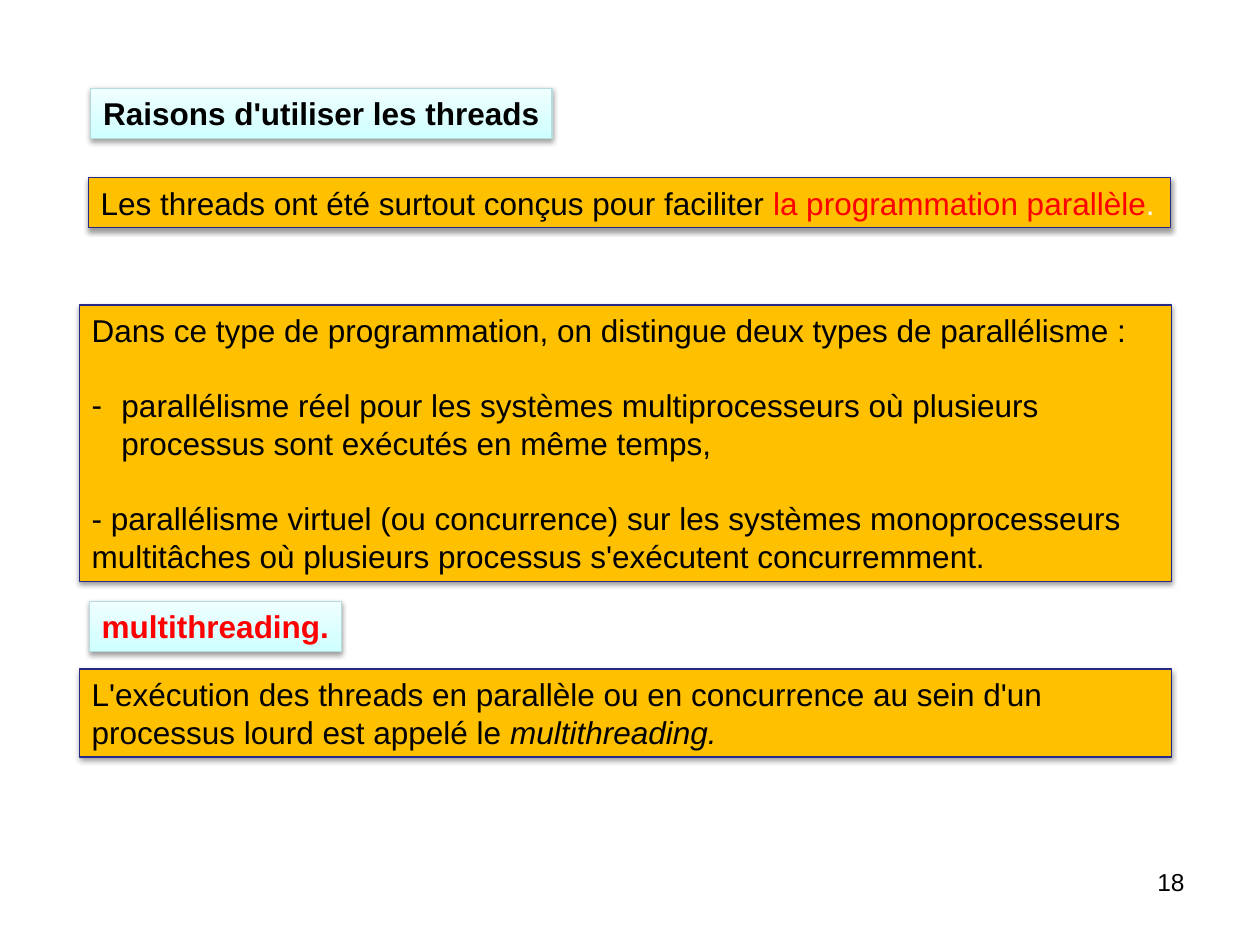
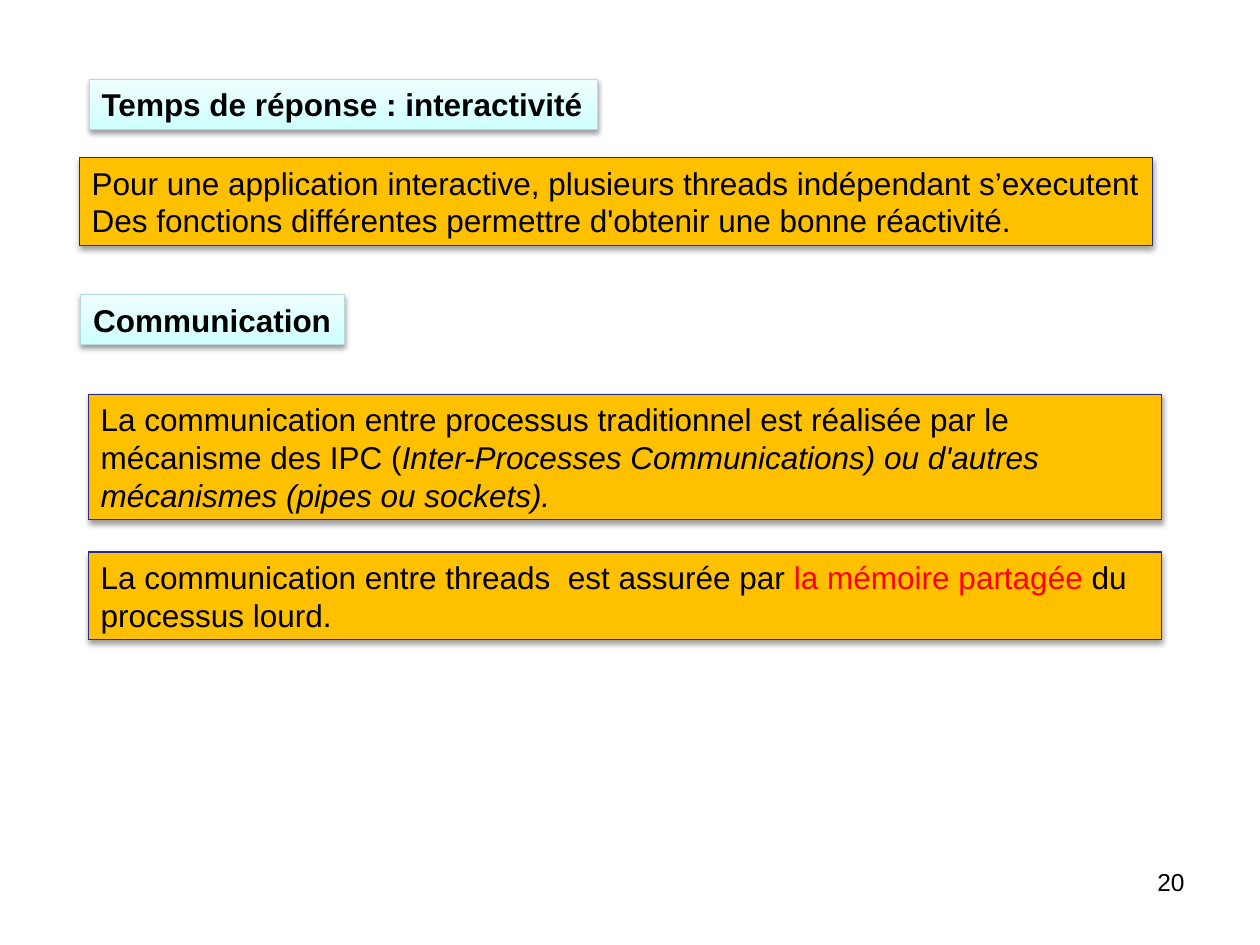
from lxml.etree import SubElement
from pptx import Presentation
from pptx.dml.color import RGBColor
from pptx.enum.shapes import MSO_SHAPE as Preset
from pptx.enum.text import MSO_ANCHOR as Anchor, PP_ALIGN as Align
from pptx.oxml.ns import qn
from pptx.util import Cm, Pt

BLACK, RED, WHITE = "000000", "FF0000", "FFFFFF"
AMBER, NAVY = "FFC000", "292989"
AQUA, PALE_AQUA, AQUA_EDGE = "CFFFFF", "F0FFFF", "B6DCDF"


def color(value):
    return RGBColor.from_string(value)


class Deck:
    font = "Arial"
    size = Pt(18)
    line_pitch = Pt(21.5)

    def __init__(self):
        self.presentation = Presentation()
        self.presentation.slide_width = Cm(25.4)
        self.presentation.slide_height = Cm(19.05)
        self.slide = None

    def add_slide(self, number):
        layout = self.presentation.slide_layouts[6]
        self.slide = self.presentation.slides.add_slide(layout)
        box = self.slide.shapes.add_textbox(Cm(18.21), Cm(17.35), Cm(5.92), Cm(1.32))
        box.text_frame.word_wrap = True
        paragraph = box.text_frame.paragraphs[0]
        paragraph.text = str(number)
        paragraph.alignment = Align.RIGHT
        self.style(paragraph.font, Pt(14))

    def style(self, font, size, ink=BLACK, bold=False):
        font.name = self.font
        font.size = size
        font.bold = bold
        font.color.rgb = color(ink)

    def panel(self, left, top, width, lines, edge):
        height = 0.25 + 0.76 * lines
        shape = self.slide.shapes.add_shape(
            Preset.RECTANGLE, Cm(left), Cm(top), Cm(width), Cm(height))
        shape.line.color.rgb = color(edge)
        shape.line.width = Pt(0.75)
        self.drop_shadow(shape)
        frame = shape.text_frame
        frame.vertical_anchor = Anchor.TOP
        frame.margin_right = Cm(0.2)
        return shape

    def drop_shadow(self, shape):
        shape.shadow.inherit = False
        effects = shape._element.spPr.find(qn("a:effectLst"))
        shadow = SubElement(effects, qn("a:outerShdw"), blurRad="40000",
                            dist="20000", dir="5400000", rotWithShape="0")
        ink = SubElement(shadow, qn("a:srgbClr"), val=BLACK)
        SubElement(ink, qn("a:alpha"), val="38000")

    def heading(self, left, top, width, text, ink=BLACK):
        shape = self.panel(left, top, width, 1, AQUA_EDGE)
        shape.fill.gradient()
        shape.fill.gradient_angle = 90
        for stop, tint in zip(shape.fill.gradient_stops, (AQUA, PALE_AQUA)):
            stop.color.rgb = color(tint)
        shape.text_frame.word_wrap = False
        self.fill_text(shape.text_frame.paragraphs[0], [text], ink, True)

    def band(self, left, top, width, lines, *paragraphs, gap=0, bulleted=()):
        shape = self.panel(left, top, width, lines, NAVY)
        shape.fill.solid()
        shape.fill.fore_color.rgb = color(AMBER)
        frame = shape.text_frame
        frame.word_wrap = True
        for index, runs in enumerate(paragraphs):
            paragraph = frame.add_paragraph() if index else frame.paragraphs[0]
            if index in bulleted:
                self.dash(paragraph)
            if index and gap:
                paragraph.space_before = gap
            self.fill_text(paragraph, runs)

    def dash(self, paragraph):
        properties = paragraph._p.get_or_add_pPr()
        properties.set("marL", str(Cm(0.6)))
        properties.set("indent", str(-Cm(0.6)))
        SubElement(properties, qn("a:buFont"), typeface=self.font)
        SubElement(properties, qn("a:buChar"), char="-")

    def fill_text(self, paragraph, runs, ink=BLACK, bold=False):
        paragraph.alignment = Align.LEFT
        paragraph.line_spacing = self.line_pitch
        self.style(paragraph.font, self.size, ink, bold)
        for item in runs:
            text, accent = item if isinstance(item, tuple) else (item, None)
            run = paragraph.add_run()
            run.text = text
            if accent == "italic":
                run.font.italic = True
            elif accent:
                run.font.color.rgb = color(accent)


def reasons(deck):
    deck.add_slide(18)
    deck.heading(1.83, 1.78, 9.3, "Raisons d'utiliser les threads")
    deck.band(1.78, 3.58, 21.82, 1, [
        "Les threads ont été surtout conçus pour faciliter ",
        ("la programmation parallèle", RED), (".", WHITE)])
    deck.band(
        1.6, 6.15, 22.02, 7,
        ["Dans ce type de programmation, on distingue deux types de parallélisme :"],
        ["parallélisme réel pour les systèmes multiprocesseurs où plusieurs "
         "processus sont exécutés en même temps,"],
        ["- parallélisme virtuel (ou concurrence) sur les systèmes monoprocesseurs "
         "multitâches où plusieurs processus s'exécutent concurremment."],
        gap=deck.line_pitch, bulleted=(1,))
    deck.band(1.6, 13.49, 22.02, 2, [
        "L'exécution des threads en parallèle ou en concurrence au sein d'un "
        "processus lourd est appelé le ", ("multithreading.", "italic")])
    deck.heading(1.8, 12.12, 5.08, "multithreading.", RED)


def response_and_communication(deck):
    deck.add_slide(20)
    deck.heading(1.8, 1.6, 10.24, "Temps de réponse : interactivité")
    deck.band(
        1.6, 3.18, 21.64, 2,
        ["Pour une application interactive, plusieurs threads indépendant s’executent"],
        ["Des fonctions différentes permettre d'obtenir une bonne réactivité."])
    deck.band(1.78, 7.95, 21.64, 3, [
        "La communication entre processus traditionnel est réalisée par le "
        "mécanisme des IPC (",
        ("Inter-Processes Communications) ou d'autres mécanismes "
         "(pipes ou sockets).", "italic")])
    deck.band(1.78, 11.13, 21.64, 2, [
        "La communication entre threads  est assurée par ",
        ("la mémoire partagée ", RED), "du processus lourd."])
    deck.heading(1.63, 5.94, 5.31, "Communication")


def main():
    deck = Deck()
    reasons(deck)
    response_and_communication(deck)
    deck.presentation.save("out.pptx")


if __name__ == "__main__":
    main()
